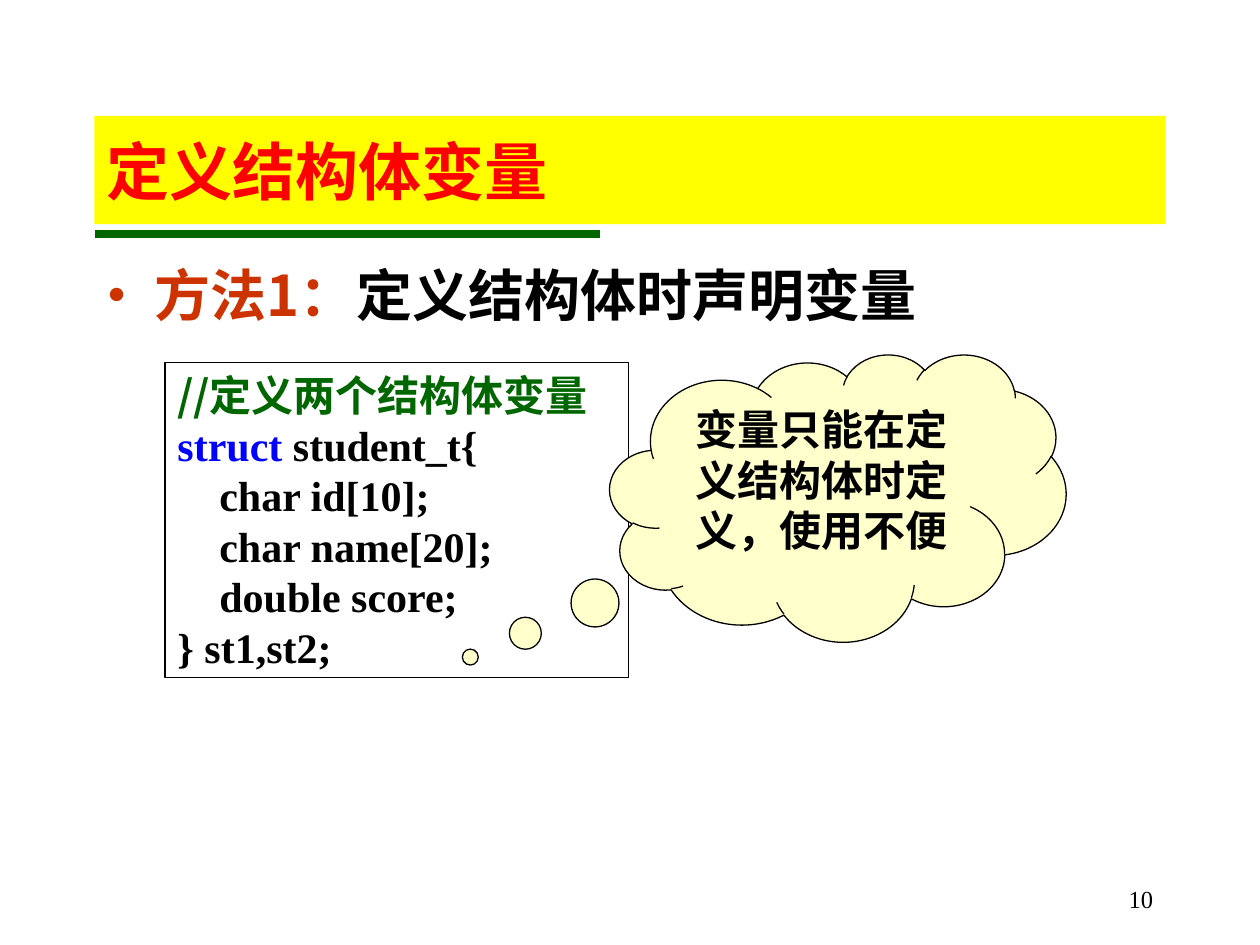
from dataclasses import dataclass

from lxml.etree import SubElement
from pptx import Presentation
from pptx.dml.color import RGBColor as RGB
from pptx.enum.shapes import MSO_CONNECTOR as Link, MSO_SHAPE as Shape
from pptx.enum.text import MSO_ANCHOR as Anchor, MSO_AUTO_SIZE as Fit, PP_ALIGN as Align
from pptx.oxml.ns import qn
from pptx.util import Inches, Pt


@dataclass(frozen=True)
class Theme:
    sans: str = "Noto Sans CJK SC"
    serif: str = "Times New Roman"
    black: str = "000000"
    red: str = "FF0000"
    rust: str = "CC3300"
    green: str = "006600"
    blue: str = "0000FF"
    yellow: str = "FFFF00"
    cream: str = "FFFFCC"
    title: int = 36
    lead: int = 32
    body: int = 24
    foot: int = 14


THEME = Theme()


def add_run(para, text, size, color, face=THEME.sans, bold=True):
    run = para.add_run()
    run.text = text
    font = run.font
    font.size, font.bold, font.name = Pt(size), bold, face
    font.color.rgb = RGB.from_string(color)
    SubElement(font._element, qn("a:ea"), typeface=face)


def add_box(slide, box, kind=Shape.RECTANGLE, fill=None, edge=None, anchor=Anchor.TOP):
    """Add a shape in box, given in inches, and return it with its text frame."""
    shape = slide.shapes.add_shape(kind, *map(Inches, box))
    shape.shadow.inherit = False
    if fill:
        shape.fill.solid()
        shape.fill.fore_color.rgb = RGB.from_string(fill)
    else:
        shape.fill.background()
    if edge:
        shape.line.color.rgb = RGB.from_string(edge)
        shape.line.width = Pt(0.75)
    else:
        shape.line.fill.background()
    frame = shape.text_frame
    frame.word_wrap = True
    frame.vertical_anchor = anchor
    frame.paragraphs[0].alignment = Align.LEFT
    return shape, frame


def add_text(slide, box, anchor=Anchor.TOP):
    frame = slide.shapes.add_textbox(*map(Inches, box)).text_frame
    frame.word_wrap = True
    frame.vertical_anchor = anchor
    return frame


def add_title(slide, box):
    """Add the title band with a short rule just below it."""
    left, top, _, height = box
    y = Inches(top + height + 0.08)
    rule = slide.shapes.add_connector(
        Link.STRAIGHT, Inches(left), y, Inches(left + 4.01), y)
    rule.line.color.rgb = RGB.from_string(THEME.green)
    rule.line.width = Pt(4.5)
    SubElement(rule._element.spPr, qn("a:effectLst"))
    _, frame = add_box(slide, box, fill=THEME.yellow, anchor=Anchor.MIDDLE)
    add_run(frame.paragraphs[0], "定义结构体变量", THEME.title, THEME.red)


def add_lead(slide, box):
    para = add_text(slide, box).paragraphs[0]
    props = para._p.get_or_add_pPr()
    props.set("marL", str(Inches(0.38)))
    props.set("indent", str(-Inches(0.38)))
    tint = SubElement(props, qn("a:buClr"))
    SubElement(tint, qn("a:srgbClr"), val=THEME.rust)
    SubElement(props, qn("a:buFont"), typeface=THEME.serif)
    SubElement(props, qn("a:buChar"), char="•")
    add_run(para, "方法1：", THEME.lead, THEME.rust)
    add_run(para, "定义结构体时声明变量", THEME.lead, THEME.black)


def add_code(slide, box):
    lines = [
        [("//定义两个结构体变量", THEME.green, THEME.sans)],
        [("struct ", THEME.blue, THEME.serif),
         ("student_t{", THEME.black, THEME.serif)],
    ] + [[(text, THEME.black, THEME.serif)] for text in (
        "    char id[10];", "    char name[20];", "    double score;", "} st1,st2;")]
    _, frame = add_box(slide, box, edge=THEME.black)
    frame.word_wrap = False
    frame.auto_size = Fit.SHAPE_TO_FIT_TEXT
    for i, line in enumerate(lines):
        para = frame.add_paragraph() if i else frame.paragraphs[0]
        para.alignment = Align.LEFT
        for text, color, face in line:
            add_run(para, text, THEME.body, color, face)


def add_cloud(slide, box):
    cloud, frame = add_box(slide, box, Shape.CLOUD_CALLOUT, THEME.cream, THEME.black)
    cloud.adjustments[0] = -0.806
    cloud.adjustments[1] = 0.555
    para = frame.paragraphs[0]
    para.alignment = Align.CENTER
    add_run(para, "变量只能在定义结构体时定义，使用不便", THEME.body, THEME.black)


def add_number(slide, box):
    para = add_text(slide, box, Anchor.BOTTOM).paragraphs[0]
    para.alignment = Align.RIGHT
    add_run(para, "10", THEME.foot, THEME.black, THEME.serif, bold=False)


def main():
    deck = Presentation()
    deck.slide_width, deck.slide_height = Inches(10), Inches(7.5)
    slide = deck.slides.add_slide(deck.slide_layouts[6])
    add_title(slide, (0.75, 0.92, 8.5, 0.86))
    add_lead(slide, (0.75, 2.02, 8.74, 0.79))
    add_code(slide, (1.31, 2.88, 3.68, 2.5))
    add_cloud(slide, (4.84, 2.81, 3.62, 2.28))
    add_number(slide, (7.17, 6.92, 2.08, 0.38))
    deck.save("out.pptx")


if __name__ == "__main__":
    main()
